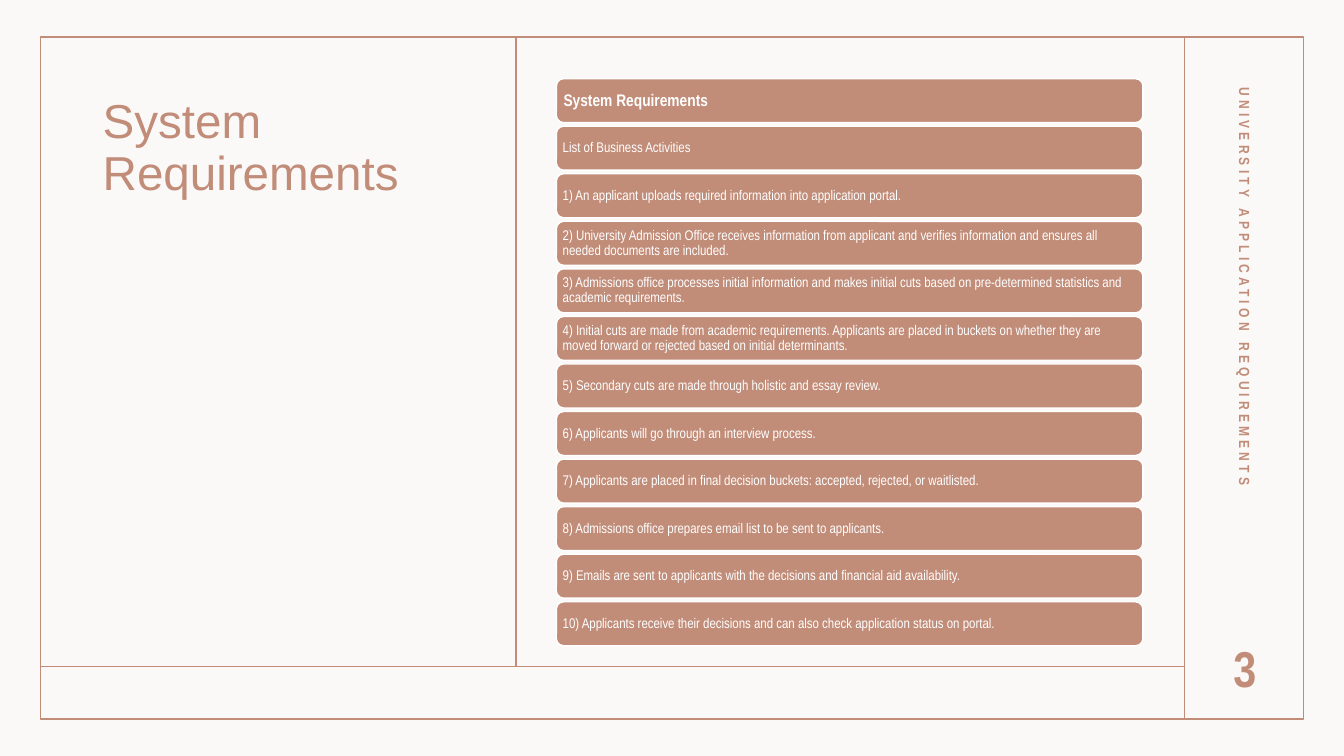
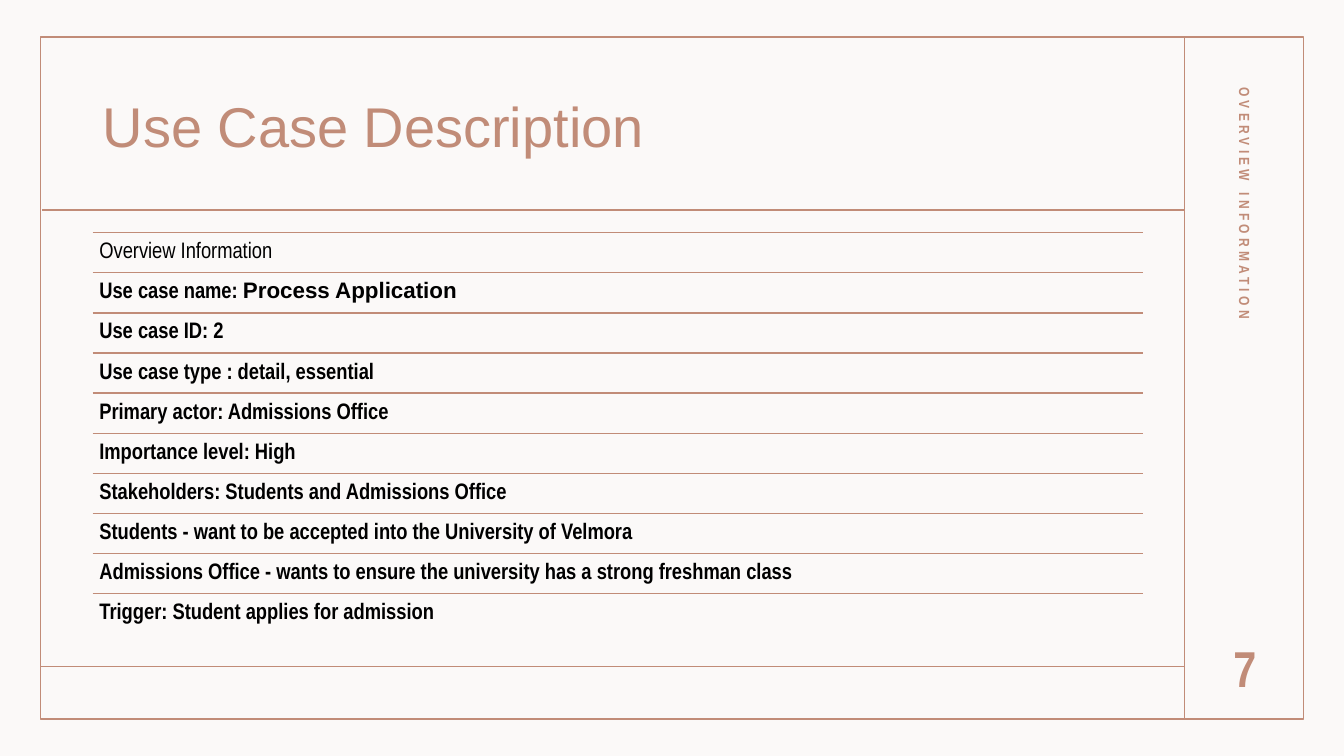
from lxml.etree import SubElement
from pptx import Presentation
from pptx.dml.color import RGBColor
from pptx.enum.shapes import MSO_CONNECTOR, MSO_SHAPE
from pptx.enum.text import MSO_ANCHOR, MSO_AUTO_SIZE, PP_ALIGN
from pptx.oxml.ns import qn
from pptx.util import Pt

COLORS = {"accent": "C18C78", "page": "FBF9F8", "white": "FFFFFF", "text": "000000"}
HEAD, BODY = "Arial", "Arial Narrow"

FRAME = {"left": 28.8, "top": 26.6, "right": 931, "bottom": 513.6}
RAIL_X, FOOT_Y = 846.2, 476
BAR = {"left": 397.4, "top": 56.2, "width": 419, "height": 31.4, "pitch": 33.97}
ROW = {"left": 66.2, "top": 166.2, "width": 750.2, "pitch": 28.65}

ACTIVITIES = [
    "List of Business Activities",
    "1) An applicant uploads required information into application portal.",
    "2) University Admission Office receives information from applicant and verifies "
    "information and ensures all needed documents are included.",
    "3) Admissions office processes initial information and makes initial cuts based on "
    "pre-determined statistics and academic requirements.",
    "4) Initial cuts are made from academic requirements. Applicants are placed in buckets "
    "on whether they are moved forward or rejected based on initial determinants.",
    "5) Secondary cuts are made through holistic and essay review.",
    "6) Applicants will go through an interview process.",
    "7) Applicants are placed in final decision buckets: accepted, rejected, or waitlisted.",
    "8) Admissions office prepares email list to be sent to applicants.",
    "9) Emails are sent to applicants with the decisions and financial aid availability.",
    "10) Applicants receive their decisions and can also check application status on portal.",
]

DETAILS = [
    "Use case ID: 2",
    "Use case type : detail, essential",
    "Primary actor: Admissions Office",
    "Importance level: High",
    "Stakeholders: Students and Admissions Office",
    "Students - want to be accepted into the University of Velmora",
    "Admissions Office - wants to ensure the university has a strong freshman class",
    "Trigger: Student applies for admission",
]


def rgb(name):
    return RGBColor.from_string(COLORS[name])


def set_attrs(obj, values):
    for name, value in values.items():
        setattr(obj, name, value)


def style(size, color="accent", font=BODY, bold=False):
    return {"size": Pt(size), "name": font, "bold": bold}, color


def write(tf, runs, anchor=MSO_ANCHOR.TOP, align=PP_ALIGN.LEFT, spacing=1.0, inset=None):
    set_attrs(tf, {"word_wrap": True, "auto_size": MSO_AUTO_SIZE.NONE,
                   "vertical_anchor": anchor})
    if inset is not None:
        sides = ("left", "top", "right", "bottom")
        set_attrs(tf, {f"margin_{side}": Pt(inset) for side in sides})
    p = tf.paragraphs[0]
    set_attrs(p, {"alignment": align, "line_spacing": spacing})
    for text, (fmt, color) in runs:
        r = p.add_run()
        r.text = text
        set_attrs(r.font, fmt)
        r.font.color.rgb = rgb(color)
    return p


def add_text(s, box, runs, **layout):
    sp = s.shapes.add_textbox(*map(Pt, box))
    return sp, write(sp.text_frame, runs, **layout)


def add_box(s, kind, box, fill, line):
    sp = s.shapes.add_shape(kind, *map(Pt, box))
    sp.shadow.inherit = False
    if fill:
        sp.fill.solid()
        sp.fill.fore_color.rgb = rgb(fill)
    else:
        sp.fill.background()
    sp.line.color.rgb = rgb(line)
    sp.line.width = Pt(1)
    return sp


def add_rule(s, x1, y1, x2, y2):
    c = s.shapes.add_connector(MSO_CONNECTOR.STRAIGHT, Pt(x1), Pt(y1), Pt(x2), Pt(y2))
    c.line.color.rgb = rgb("accent")
    c.line.width = Pt(1)
    SubElement(c._element.spPr, qn("a:effectLst"))


def add_title(s, text, box, size, anchor):
    sp = s.shapes.title
    set_attrs(sp, dict(zip(("left", "top", "width", "height"), map(Pt, box))))
    write(sp.text_frame, [(text, style(size, font=HEAD))], anchor=anchor, spacing=0.9)


def add_slide(prs, label, number):
    s = prs.slides.add_slide(prs.slide_layouts[5])
    left, top, right, bottom = FRAME.values()
    add_box(s, MSO_SHAPE.RECTANGLE, (left, top, right - left, bottom - top), None, "accent")
    add_rule(s, RAIL_X, top, RAIL_X, bottom)
    add_rule(s, left, FOOT_Y, RAIL_X, FOOT_Y)
    sp, p = add_text(s, (727.2, 203, 324, 28.8), [(label, style(10.5, bold=True))],
                     anchor=MSO_ANCHOR.MIDDLE)
    sp.rotation = 90
    p.runs[0].font._element.set("spc", "300")
    add_text(s, (851.8, 446.8, 74.9, 59.8), [(number, style(36, bold=True))],
             anchor=MSO_ANCHOR.MIDDLE, align=PP_ALIGN.CENTER)
    return s


def add_bars(s, bars):
    for i, (text, fmt, inset) in enumerate(bars):
        box = (BAR["left"], BAR["top"] + i * BAR["pitch"], BAR["width"], BAR["height"])
        sp = add_box(s, MSO_SHAPE.ROUNDED_RECTANGLE, box, "accent", "white")
        write(sp.text_frame, [(text, fmt)], anchor=MSO_ANCHOR.MIDDLE, spacing=0.9, inset=inset)


def add_rows(s, rows):
    left, width = ROW["left"], ROW["width"]
    for i, runs in enumerate(rows):
        y = ROW["top"] + i * ROW["pitch"]
        add_rule(s, left, y, left + width, y)
        add_text(s, (left, y, width, ROW["pitch"]), runs, spacing=0.9, inset=4.8)


def requirements_slide(prs):
    s = add_slide(prs, "UNIVERSITY APPLICATION REQUIREMENTS", "3")
    add_title(s, "System Requirements", (66.2, 66.2, 267, 361.4), 34, MSO_ANCHOR.TOP)
    add_rule(s, 368.6, FRAME["top"], 368.6, FOOT_Y)
    head = ("System Requirements", style(12, "white", bold=True), 3.6)
    add_bars(s, [head] + [(text, style(10, "white"), 3) for text in ACTIVITIES])


def use_case_slide(prs):
    s = add_slide(prs, "OVERVIEW INFORMATION", "7")
    add_title(s, "Use Case Description", (66.2, 43.2, 750.2, 97.9), 40, MSO_ANCHOR.MIDDLE)
    add_rule(s, 30.2, 150, RAIL_X, 150)
    bold = style(16, "text", bold=True)
    rows = [
        [("Overview Information", style(16, "text"))],
        [("Use case name: ", bold),
         ("Process Application", style(16, "text", font=HEAD, bold=True))],
    ]
    add_rows(s, rows + [[(text, bold)] for text in DETAILS])


def main():
    prs = Presentation()
    set_attrs(prs, {"slide_width": Pt(960), "slide_height": Pt(540)})
    fill = prs.slide_master.background.fill
    fill.solid()
    fill.fore_color.rgb = rgb("page")
    requirements_slide(prs)
    use_case_slide(prs)
    prs.save("out.pptx")


if __name__ == "__main__":
    main()
